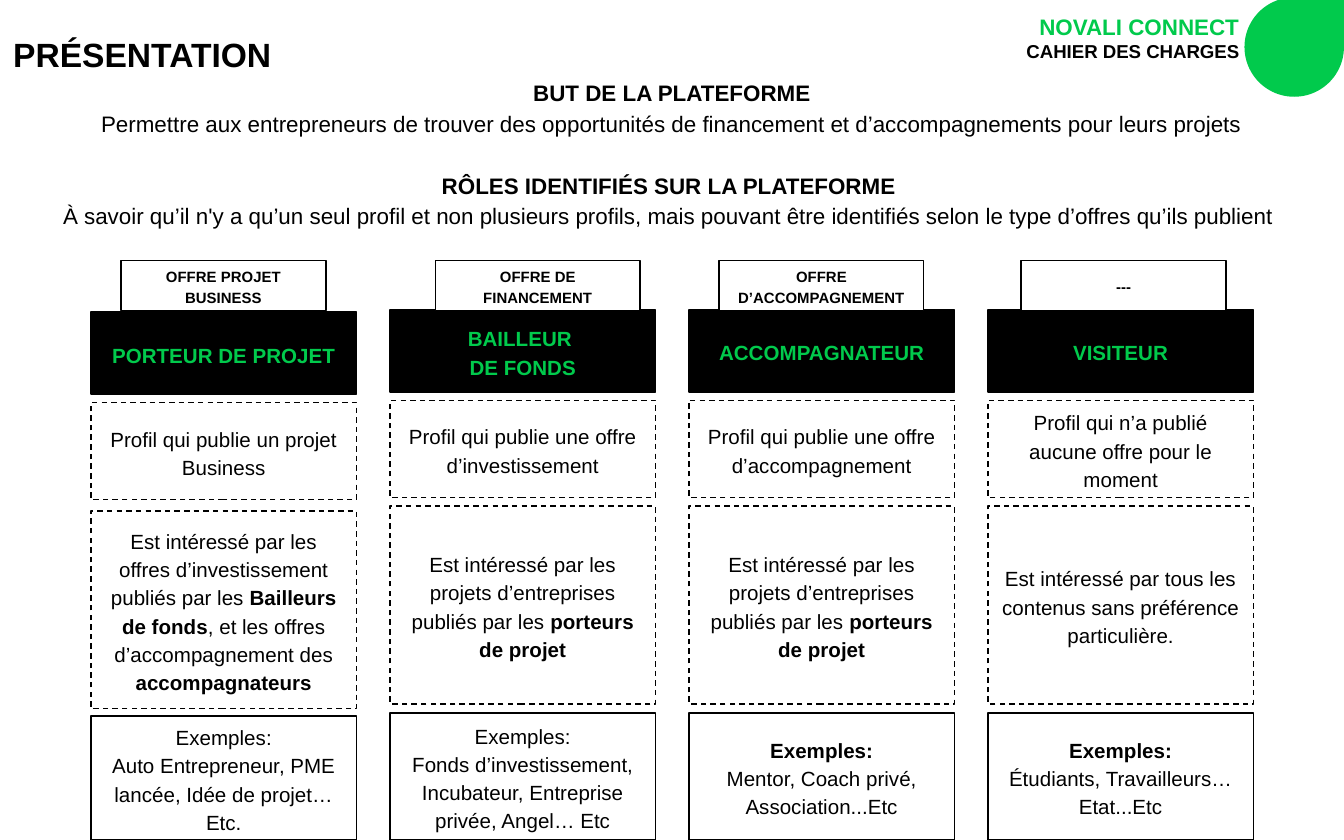
"""Build the platform presentation slide with its four user roles."""
from pptx import Presentation
from pptx.dml.color import RGBColor
from pptx.enum.dml import MSO_LINE_DASH_STYLE as Dash
from pptx.enum.shapes import MSO_SHAPE as Shape
from pptx.enum.text import MSO_ANCHOR as Anchor, PP_ALIGN as Align
from pptx.util import Cm, Pt

COLORS = {"green": "01CA4C", "black": "000000", "white": "FFFFFF"}


def write(shape, lines, size, color="black", align=Align.CENTER, anchor=Anchor.MIDDLE, spacing=1.15):
    """Fill a shape with paragraphs, where ** marks bold passages."""
    frame = shape.text_frame
    frame.word_wrap = True
    frame.vertical_anchor = anchor
    frame.margin_left = frame.margin_right = frame.margin_top = frame.margin_bottom = Cm(0.25)
    for index, line in enumerate(lines):
        paragraph = frame.add_paragraph() if index else frame.paragraphs[0]
        paragraph.alignment = align
        paragraph.line_spacing = spacing
        for part, text in enumerate(line.split("**")):
            if text:
                run = paragraph.add_run()
                run.text = text
                run.font.name = "Arial"
                run.font.size = Pt(size)
                run.font.bold = part % 2 == 1
                run.font.color.rgb = RGBColor.from_string(COLORS[color])
    return frame.paragraphs


def add_box(slide, left, top, width, height, fill="white", dashed=False):
    """Add an outlined rectangle, sized in centimetres."""
    box = slide.shapes.add_shape(Shape.RECTANGLE, Cm(left), Cm(top), Cm(width), Cm(height))
    box.shadow.inherit = False
    box.fill.solid()
    box.fill.fore_color.rgb = RGBColor.from_string(COLORS[fill])
    box.line.color.rgb = RGBColor.from_string(COLORS["black"])
    box.line.width = Pt(0.75)
    if dashed:
        box.line.dash_style = Dash.DASH
    return box


presentation = Presentation()
presentation.slide_width = Cm(25.4)
presentation.slide_height = Cm(15.88)
slide = presentation.slides.add_slide(presentation.slide_layouts[6])

intro = slide.shapes.add_textbox(Cm(0), Cm(1.17), Cm(25.4), Cm(3.73))
intro_paragraphs = write(intro, [
    "**BUT DE LA PLATEFORME**",
    "Permettre aux entrepreneurs de trouver des opportunités de financement et d’accompagnements pour leurs projets",
    "**RÔLES IDENTIFIÉS SUR LA PLATEFORME **",
    "À savoir qu’il n'y a qu’un seul profil et non plusieurs profils, "
    "mais pouvant être identifiés selon le type d’offres qu’ils publient ",
], 12, anchor=Anchor.TOP)
intro_paragraphs[2].space_before = Pt(16.5)

heading = slide.shapes.add_textbox(Cm(0), Cm(0.28), Cm(10.36), Cm(1.22))
write(heading, ["**PRÉSENTATION**"], 18, align=Align.LEFT, anchor=Anchor.TOP)

teardrop = slide.shapes.add_shape(Shape.TEAR, Cm(23.52), Cm(-0.05), Cm(1.88), Cm(1.88))
teardrop.shadow.inherit = False
teardrop.fill.solid()
teardrop.fill.fore_color.rgb = RGBColor.from_string(COLORS["green"])
teardrop.line.fill.background()

title = slide.shapes.add_textbox(Cm(18.82), Cm(0), Cm(4.85), Cm(1.37))
title_paragraphs = write(title, ["**NOVALI CONNECT**", "**CAHIER DES CHARGES**"], 12,
                         align=Align.RIGHT, anchor=Anchor.TOP, spacing=1.0)
title_paragraphs[0].runs[0].font.color.rgb = RGBColor.from_string(COLORS["green"])
title_paragraphs[1].runs[0].font.size = Pt(10)

business_interest = "Est intéressé par les projets d’entreprises publiés par les **porteurs de projet**"
roles = [
    (2.29, "OFFRE PROJET BUSINESS", ["**PORTEUR DE PROJET**"],
     "Profil qui publie un projet Business",
     "Est intéressé par les offres d’investissement publiés par les **Bailleurs de fonds**, "
     "et les offres d’accompagnement des **accompagnateurs**",
     ["Exemples:", "Auto Entrepreneur, PME lancée, Idée de projet…Etc."]),
    (8.23, "OFFRE DE FINANCEMENT", ["**BAILLEUR **", "**DE FONDS**"],
     "Profil qui publie une offre d’investissement", business_interest,
     ["Exemples:", "Fonds d’investissement, Incubateur, Entreprise privée, Angel… Etc"]),
    (13.59, "OFFRE D’ACCOMPAGNEMENT", ["**ACCOMPAGNATEUR**"],
     "Profil qui publie une offre d’accompagnement", business_interest,
     ["**Exemples:**", "Mentor, Coach privé, Association...Etc"]),
    (19.3, "---", ["**VISITEUR**"],
     "Profil qui n’a publié aucune offre pour le moment",
     "Est intéressé par tous les contenus sans préférence particulière.",
     ["**Exemples:**", "Étudiants, Travailleurs… Etat...Etc"]),
]
first_tops = [5.9, 7.61, 9.66, 13.54]
other_tops = [5.86, 7.57, 9.57, 13.48]

for column, (tag_left, offer, name, profile, interest, examples) in enumerate(roles):
    left = 1.72 + 5.65 * column
    name_top, profile_top, interest_top, examples_top = other_tops if column else first_tops
    write(add_box(slide, left, name_top, 5.02, 1.55, fill="black"), name, 11, "green")
    write(add_box(slide, left, profile_top, 5.02, 1.84, dashed=True), [profile], 11)
    write(add_box(slide, left, interest_top, 5.02, 3.74, dashed=True), [interest], 11)
    write(add_box(slide, tag_left, 4.93, 3.87, 0.94), [f"**{offer}**"], 8)
    write(add_box(slide, left, examples_top, 5.02, 15.88 - examples_top), examples, 11)

presentation.save("out.pptx")
